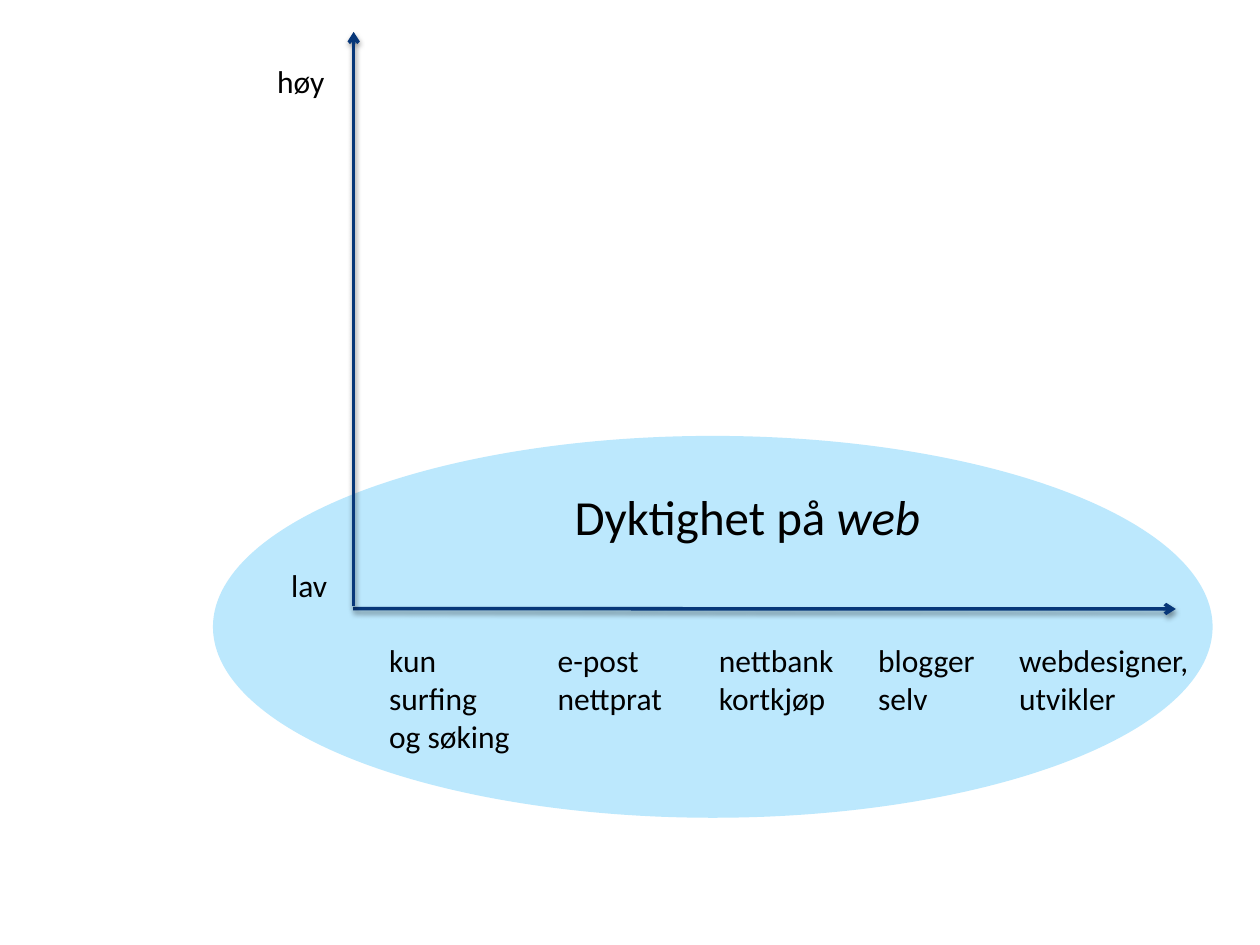
from dataclasses import dataclass

from lxml import etree
from pptx import Presentation
from pptx.dml.color import RGBColor
from pptx.enum.shapes import MSO_CONNECTOR, MSO_SHAPE
from pptx.enum.text import MSO_ANCHOR, MSO_AUTO_SIZE, PP_ALIGN
from pptx.oxml.ns import qn
from pptx.util import Pt

STRAIGHT = MSO_CONNECTOR.STRAIGHT
OVAL = MSO_SHAPE.OVAL
TOP = MSO_ANCHOR.TOP
LEFT = PP_ALIGN.LEFT
NO_AUTOFIT = MSO_AUTO_SIZE.NONE
TITLE_ONLY = 5


@dataclass(frozen=True)
class Theme:
    font: str = "Calibri"
    title_size: int = 28
    label_size: int = 18
    text: RGBColor = RGBColor(0, 0, 0)
    axis: RGBColor = RGBColor(0x07, 0x37, 0x79)
    highlight: RGBColor = RGBColor(0xBC, 0xE8, 0xFD)
    axis_width: float = 2


@dataclass(frozen=True)
class Label:
    lines: tuple[str, ...]
    left: float
    top: float
    width: float
    height: float


@dataclass(frozen=True)
class Axis:
    start: tuple[float, float]
    end: tuple[float, float]


THEME = Theme()
SKILL_TOP = 362.8
LINE_HEIGHT = 21.8
BOX_PADDING = 7.2

AXES = (
    Axis((201.8, 347.8), (671.9, 348)),
    Axis((202.1, 346.3), (202.1, 18.2)),
)
LEVELS = (
    Label(("høy",), 151.2, 31.9, 41.8, 29),
    Label(("lav",), 159.3, 320, 35.3, 29),
)
# Skill steps along the horizontal axis: left, width, lines
SKILLS = (
    (215.3, 89.3, ("kun", "surfing", "og søking")),
    (311.6, 82.1, ("e-post", "nettprat")),
    (403.7, 80.6, ("nettbank", "kortkjøp")),
    (494.7, 70.6, ("blogger", "selv")),
    (575.3, 112.3, ("webdesigner,", "utvikler")),
)


def apply_format(target, values: dict) -> None:
    for name, value in values.items():
        setattr(target, name, value)


def format_font(font, size: int) -> None:
    apply_format(font, {"name": THEME.font, "size": Pt(size)})
    font.color.rgb = THEME.text


def place(shape, left: float, top: float, width: float, height: float) -> None:
    apply_format(shape, {"left": Pt(left), "top": Pt(top),
                         "width": Pt(width), "height": Pt(height)})


def add_label(slide, label: Label) -> None:
    box = slide.shapes.add_textbox(Pt(label.left), Pt(label.top),
                                   Pt(label.width), Pt(label.height))
    frame = box.text_frame
    frame.word_wrap = False
    frame.text = "\n".join(label.lines)
    for paragraph in frame.paragraphs:
        paragraph.alignment = LEFT
        format_font(paragraph.font, THEME.label_size)


def add_axis(slide, axis: Axis) -> None:
    connector = slide.shapes.add_connector(
        STRAIGHT, *(Pt(value) for value in axis.start + axis.end))
    connector.line.color.rgb = THEME.axis
    connector.line.width = Pt(THEME.axis_width)
    properties = connector.element.spPr
    # Arrowhead at the far end
    etree.SubElement(properties.find(qn("a:ln")), qn("a:tailEnd"), type="arrow")
    # Soft shadow straight below
    effects = etree.SubElement(properties, qn("a:effectLst"))
    shadow = etree.SubElement(effects, qn("a:outerShdw"), blurRad=str(Pt(3.1)),
                              dist=str(Pt(1.6)), dir="5400000", rotWithShape="0")
    color = etree.SubElement(shadow, qn("a:srgbClr"), val="000000")
    etree.SubElement(color, qn("a:alpha"), val="38000")


def add_title(slide):
    title = slide.shapes.title
    place(title, 321.1, 274.3, 243.4, 41.2)
    frame = title.text_frame
    apply_format(frame, {"word_wrap": True, "vertical_anchor": TOP,
                         "auto_size": NO_AUTOFIT})
    paragraph = frame.paragraphs[0]
    paragraph.alignment = LEFT
    for text, italic in (("Dyktighet på ", False), ("web", True)):
        run = paragraph.add_run()
        run.text = text
        format_font(run.font, THEME.title_size)
        run.font.italic = italic
    return title


def add_highlight(slide):
    ellipse = slide.shapes.add_shape(OVAL, Pt(121.7), Pt(249.1), Pt(571.2), Pt(218.2))
    ellipse.shadow.inherit = False
    ellipse.fill.solid()
    ellipse.fill.fore_color.rgb = THEME.highlight
    ellipse.line.fill.background()
    return ellipse


def main() -> None:
    presentation = Presentation()
    apply_format(presentation, {"slide_width": Pt(720), "slide_height": Pt(540)})
    slide = presentation.slides.add_slide(presentation.slide_layouts[TITLE_ONLY])

    # Highlighted area goes behind the title
    title = add_title(slide)
    ellipse = add_highlight(slide)
    title.element.addprevious(ellipse.element)

    # Axes and their labels
    for axis in AXES:
        add_axis(slide, axis)
    for level in LEVELS:
        add_label(slide, level)
    for left, width, lines in SKILLS:
        height = len(lines) * LINE_HEIGHT + BOX_PADDING
        add_label(slide, Label(lines, left, SKILL_TOP, width, height))

    presentation.save("out.pptx")


if __name__ == "__main__":
    main()
